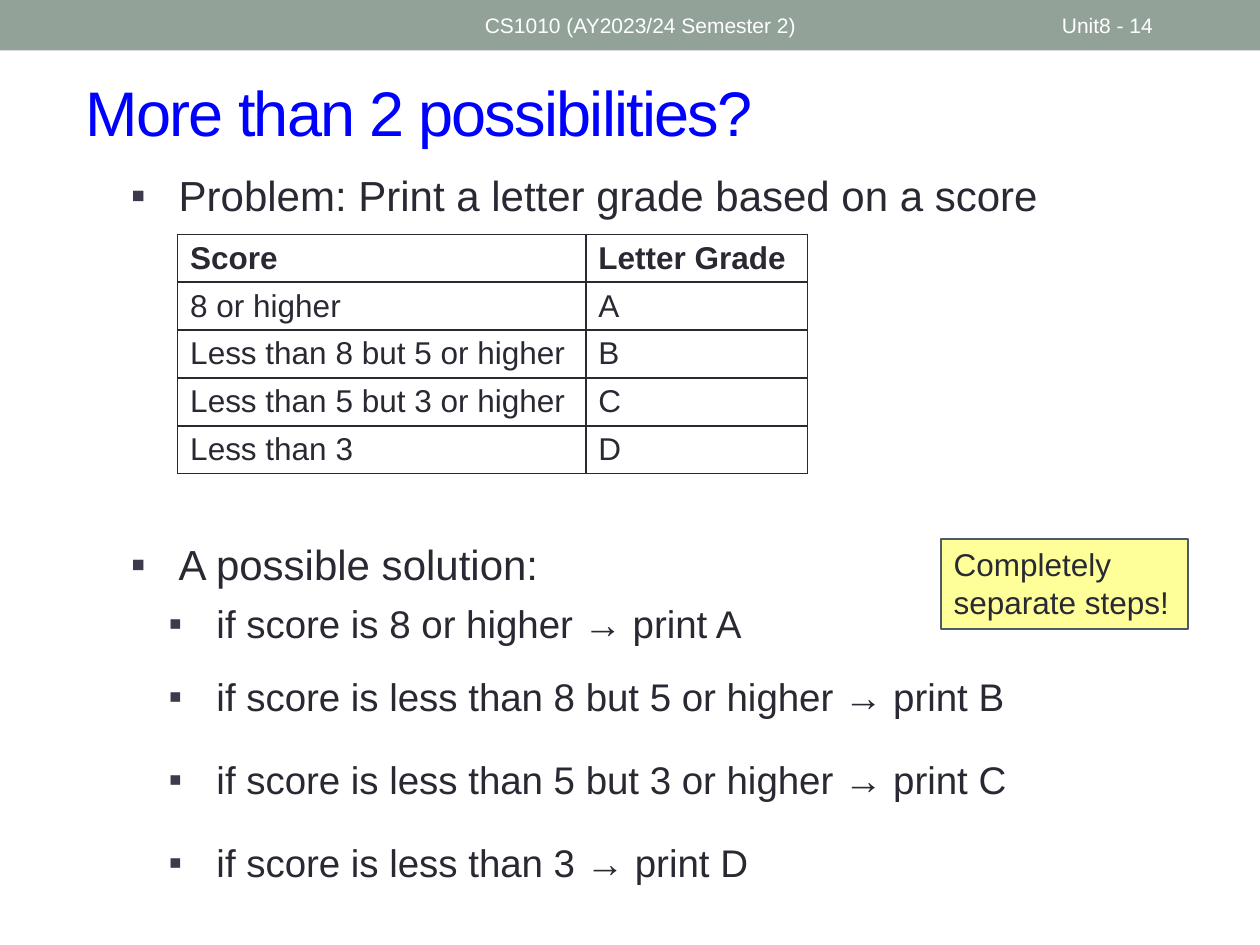
"""Build a lecture slide on choosing between more than two possibilities."""
from lxml import etree
from pptx import Presentation
from pptx.dml.color import RGBColor
from pptx.enum.shapes import MSO_SHAPE
from pptx.enum.text import MSO_ANCHOR, PP_ALIGN
from pptx.oxml.ns import qn
from pptx.util import Inches, Pt

RECTANGLE = MSO_SHAPE.RECTANGLE
MIDDLE, TOP = MSO_ANCHOR.MIDDLE, MSO_ANCHOR.TOP
LEFT = PP_ALIGN.LEFT

WHITE = RGBColor(0xFF, 0xFF, 0xFF)
INK = RGBColor(0x29, 0x29, 0x34)
BULLET = RGBColor(0x3B, 0x3B, 0x4B)
BLUE = RGBColor(0x00, 0x00, 0xFF)
SAGE = RGBColor(0x93, 0xA2, 0x99)
YELLOW = RGBColor(0xFF, 0xFF, 0x99)
SLATE = RGBColor(0x4C, 0x5A, 0x6A)

GRADES = [
    ("Score", "Letter Grade"),
    ("8 or higher", "A"),
    ("Less than 8 but 5 or higher", "B"),
    ("Less than 5 but 3 or higher", "C"),
    ("Less than 3", "D"),
]
POINTS = [
    ("Problem: Print a letter grade based on a score", 24, 0.68, 0),
    ("A possible solution:", 24, 0.68, 182),
    ("if score is 8 or higher → print A", 22, 0.98, 6),
    ("if score is less than 8 but 5 or higher → print B", 22, 0.98, 15.5),
    ("if score is less than 5 but 3 or higher → print C", 22, 0.98, 21),
    ("if score is less than 3 → print D", 22, 0.98, 21),
]


class LectureSlide:
    def __init__(self, slide, font="Arial"):
        self.slide = slide
        self.font = font

    def add_text(self, paragraph, text, size, color=INK, bold=False):
        paragraph.alignment = LEFT
        run = paragraph.add_run()
        run.text = text
        run.font.name = self.font
        run.font.size = Pt(size)
        run.font.bold = bold
        run.font.color.rgb = color
        return run

    def title(self, text, box):
        heading = self.slide.shapes.title
        heading.left, heading.top, heading.width, heading.height = map(Inches, box)
        heading.text_frame.vertical_anchor = MIDDLE
        run = self.add_text(heading.text_frame.paragraphs[0], text, 36, BLUE)
        run.font._element.set("spc", "-100")

    def text_box(self, box, anchor):
        frame = self.slide.shapes.add_textbox(*map(Inches, box)).text_frame
        frame.word_wrap = True
        frame.vertical_anchor = anchor
        return frame

    def label(self, text, box):
        self.add_text(self.text_box(box, MIDDLE).paragraphs[0], text, 12, WHITE)

    def bullets(self, points, box):
        frame = self.text_box(box, TOP)
        for i, (text, size, indent, gap) in enumerate(points):
            paragraph = frame.add_paragraph() if i else frame.paragraphs[0]
            self.add_text(paragraph, text, size)
            paragraph.space_before = Pt(gap)
            properties = paragraph._p.get_or_add_pPr()
            properties.set("marL", str(Inches(indent)))
            properties.set("indent", str(Inches(-0.38)))
            color = etree.SubElement(properties, qn("a:buClr"))
            etree.SubElement(color, qn("a:srgbClr"), val=str(BULLET))
            etree.SubElement(properties, qn("a:buFont"), typeface=self.font)
            etree.SubElement(properties, qn("a:buChar"), char="▪")

    def rectangle(self, box, fill, line=None):
        shape = self.slide.shapes.add_shape(RECTANGLE, *map(Inches, box))
        shape.shadow.inherit = False
        shape.fill.solid()
        shape.fill.fore_color.rgb = fill
        if line is None:
            shape.line.fill.background()
        else:
            shape.line.color.rgb = line
            shape.line.width = Pt(1)
        return shape

    def callout(self, lines, box):
        frame = self.rectangle(box, YELLOW, SLATE).text_frame
        frame.word_wrap = True
        frame.vertical_anchor = TOP
        paragraph = frame.paragraphs[0]
        for i, line in enumerate(lines):
            if i:
                paragraph.add_line_break()
            self.add_text(paragraph, line, 18)

    def border(self, cell):
        properties = cell._tc.get_or_add_tcPr()
        for i, side in enumerate(("lnL", "lnR", "lnT", "lnB")):
            line = etree.Element(qn(f"a:{side}"), w=str(Pt(1)))
            fill = etree.SubElement(line, qn("a:solidFill"))
            etree.SubElement(fill, qn("a:srgbClr"), val=str(INK))
            properties.insert(i, line)

    def table(self, rows, left, top, widths, row_height):
        grid = self.slide.shapes.add_table(
            len(rows), len(widths), Inches(left), Inches(top),
            Inches(sum(widths)), Inches(row_height * len(rows))).table
        grid.horz_banding = False
        for column, width in zip(grid.columns, widths):
            column.width = Inches(width)
        for r, row in enumerate(rows):
            for c, text in enumerate(row):
                cell = grid.cell(r, c)
                cell.fill.solid()
                cell.fill.fore_color.rgb = WHITE
                cell.margin_top = cell.margin_bottom = Inches(0.04)
                cell.vertical_anchor = MIDDLE
                self.border(cell)
                self.add_text(cell.text_frame.paragraphs[0], text, 18, bold=r == 0)


def main():
    deck = Presentation()
    deck.slide_width, deck.slide_height = Inches(10), Inches(7.5)
    page = LectureSlide(deck.slides.add_slide(deck.slide_layouts[5]))
    page.rectangle((0, 0, 10, 0.4), SAGE)
    page.title("More than 2 possibilities?", (0.58, 0.42, 9.17, 0.92))
    page.bullets(POINTS, (0.64, 1.3, 9, 5.97))
    page.table(GRADES, 1.41, 1.86, (3.24, 1.76), 0.38)
    page.label("Unit8 - 14", (8.33, 0.02, 1.17, 0.36))
    page.label("CS1010 (AY2023/24 Semester 2)", (3.75, 0.02, 4.5, 0.36))
    page.callout(("Completely", "separate steps!"), (7.47, 4.28, 1.96, 0.71))
    deck.save("out.pptx")


if __name__ == "__main__":
    main()
